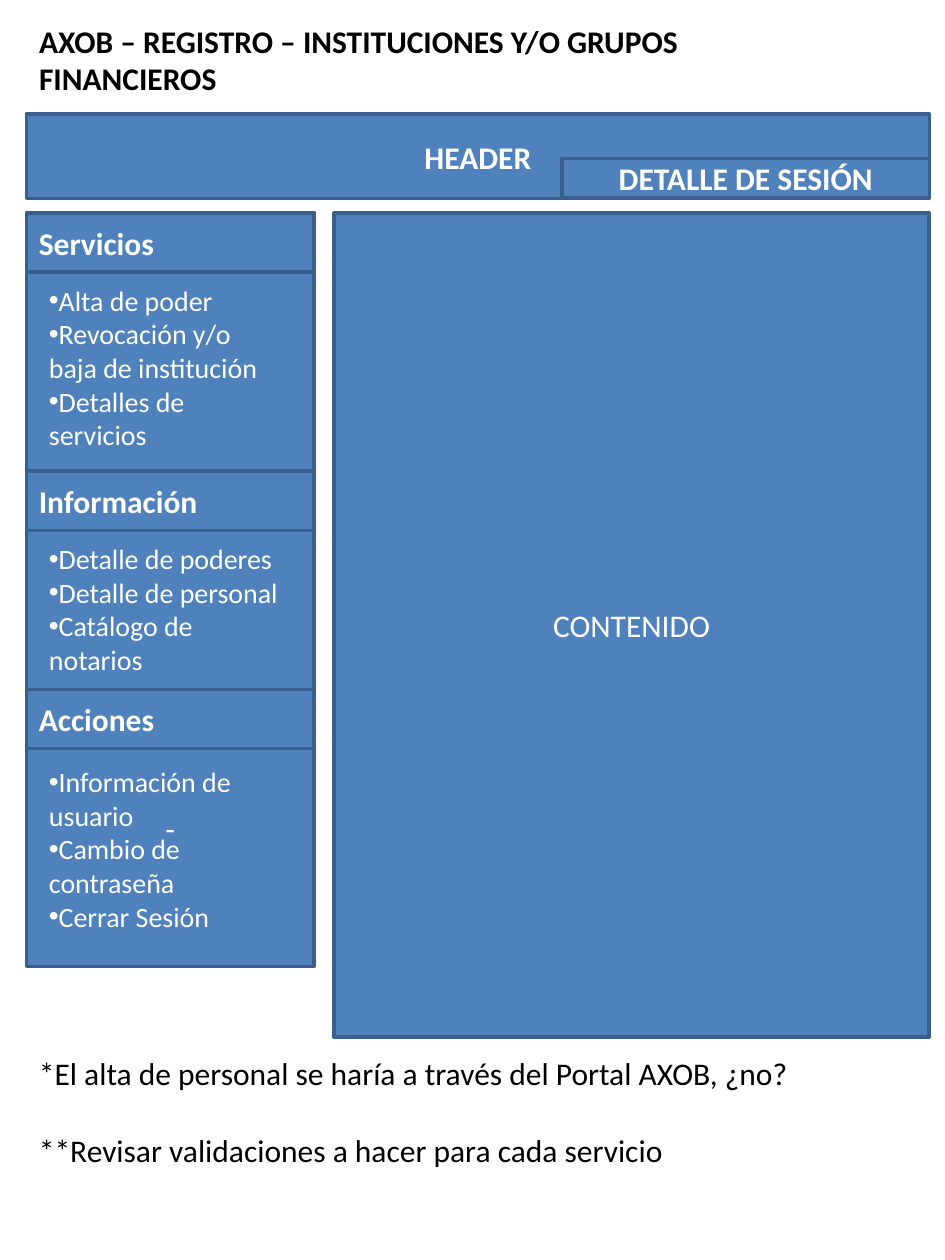
import pptx
import pptx.util
import pptx.dml.color
import pptx.enum.shapes
import pptx.enum.text
import pptx.oxml.ns
import lxml.etree
from dataclasses import dataclass

Pt = pptx.util.Pt
RGB = pptx.dml.color.RGBColor
ALIGN = pptx.enum.text.PP_ALIGN
ANCHOR = pptx.enum.text.MSO_ANCHOR


@dataclass
class Theme:
    fill: RGB = RGB(0x4F, 0x81, 0xBD)
    border: RGB = RGB(0x3A, 0x5F, 0x8C)
    light: RGB = RGB(0xFF, 0xFF, 0xFF)
    dark: RGB = RGB(0x00, 0x00, 0x00)
    font: str = "Calibri"
    body: float = 18
    item: float = 16
    border_width: float = 2


theme = Theme()


def write(para, text, size, color, bold=False, align=ALIGN.LEFT):
    para.alignment = align
    span = para.add_run()
    span.text = text
    span.font.name = theme.font
    span.font.size = Pt(size)
    span.font.bold = bold
    span.font.color.rgb = color


def add_panel(slide, left, top, width, height, text="", bold=False, align=ALIGN.CENTER):
    panel = slide.shapes.add_shape(
        pptx.enum.shapes.MSO_SHAPE.RECTANGLE, Pt(left), Pt(top), Pt(width), Pt(height))
    panel.shadow.inherit = False
    panel.fill.solid()
    panel.fill.fore_color.rgb = theme.fill
    panel.line.color.rgb = theme.border
    panel.line.width = Pt(theme.border_width)
    panel.text_frame.vertical_anchor = ANCHOR.MIDDLE
    if text:
        write(panel.text_frame.paragraphs[0], text, theme.body, theme.light, bold, align)


deck = pptx.Presentation()
deck.slide_width = Pt(540)
deck.slide_height = Pt(720)
slide = deck.slides.add_slide(deck.slide_layouts[5])

left = 15.1
page_width = 516
menu_width = 164.2
heading_height = 33.8
body_top = 121.7

title = slide.shapes.title
title.left, title.top, title.width, title.height = Pt(left), Pt(8.8), Pt(484.6), Pt(29)
title.text_frame.word_wrap = False
title.text_frame.auto_size = pptx.enum.text.MSO_AUTO_SIZE.NONE
title.text_frame.vertical_anchor = ANCHOR.TOP
write(title.text_frame.paragraphs[0],
      "AXOB – REGISTRO – INSTITUCIONES Y/O GRUPOS FINANCIEROS",
      theme.body, theme.dark, bold=True)

add_panel(slide, left, 65.3, page_width, 48.2, "HEADER", bold=True)
add_panel(slide, 321.2, 90.6, 209.9, 22.5, "DETALLE DE SESIÓN", bold=True)

sections = [
    ("Servicios", body_top, body_top, 147.6, "", 158.4, 104.4,
     ["Alta de poder", "Revocación y/o baja de institución", "Detalles de servicios"]),
    ("Información", 269.3, 297.4, 124.6, "", 306, 85,
     ["Detalle de poderes", "Detalle de personal", "Catálogo de notarios"]),
    ("Acciones", 393.9, 393.9, 158.4, "-", 433.5, 104.4,
     ["Información de usuario", "Cambio de contraseña", "Cerrar Sesión"]),
]
for heading, heading_top, panel_top, panel_height, mark, list_top, list_height, items in sections:
    add_panel(slide, left, panel_top, menu_width, panel_height, mark)
    add_panel(slide, left, heading_top, menu_width, heading_height, heading, True, ALIGN.LEFT)
    box = slide.shapes.add_textbox(Pt(20.9), Pt(list_top), Pt(147.6), Pt(list_height))
    box.text_frame.word_wrap = True
    for index, item in enumerate(items):
        para = box.text_frame.add_paragraph() if index else box.text_frame.paragraphs[0]
        write(para, item, theme.item, theme.light)
        properties = para._p.get_or_add_pPr()
        font = lxml.etree.SubElement(properties, pptx.oxml.ns.qn("a:buFont"))
        font.set("typeface", "Arial")
        bullet = lxml.etree.SubElement(properties, pptx.oxml.ns.qn("a:buChar"))
        bullet.set("char", "•")

add_panel(slide, 190.8, body_top, 340.2, 470.9, "CONTENIDO")

notes = [
    "*El alta de personal se haría a través del Portal AXOB, ¿no?",
    "**Revisar validaciones a hacer para cada servicio",
]
box = slide.shapes.add_textbox(Pt(left), Pt(599), Pt(page_width), Pt(72.7))
box.text_frame.word_wrap = True
for index, note in enumerate(notes):
    para = box.text_frame.add_paragraph() if index else box.text_frame.paragraphs[0]
    para.space_before = Pt(22 * index)
    write(para, note, theme.body, theme.dark)

deck.save("out.pptx")
